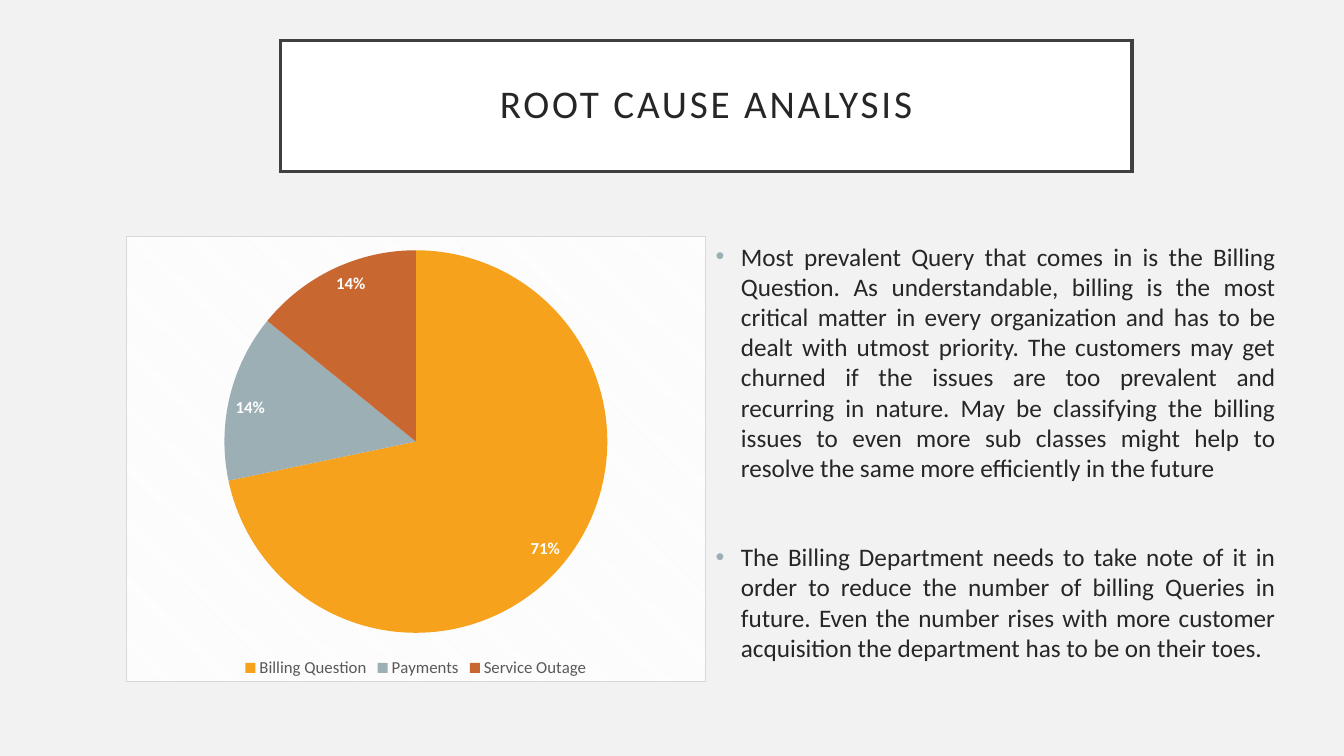
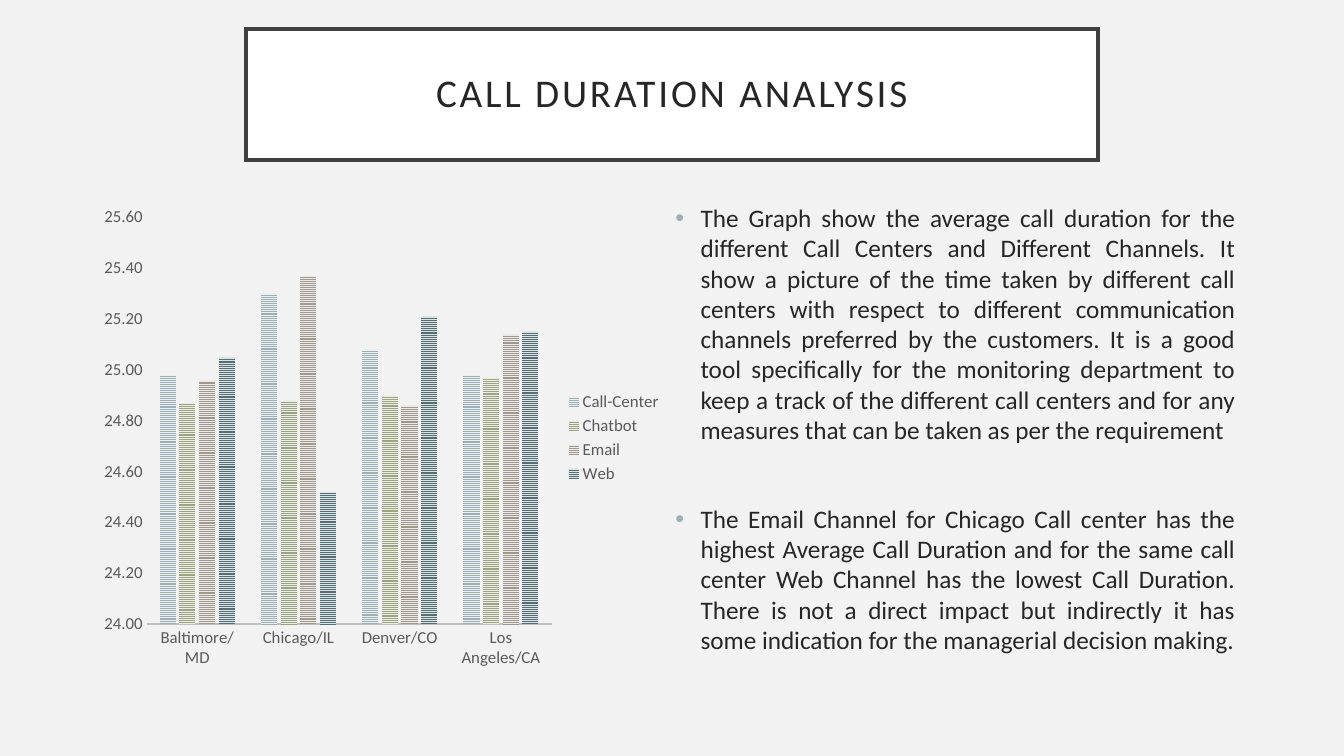
"""Build two slides that each pair a chart with a pair of findings."""
from dataclasses import dataclass
from typing import Callable

from lxml.etree import SubElement as Sub
from pptx import Presentation
from pptx.chart.data import CategoryChartData as Data
from pptx.dml.color import RGBColor as Rgb
from pptx.enum.chart import XL_CHART_TYPE as Kind
from pptx.enum.chart import XL_LABEL_POSITION as Spot
from pptx.enum.chart import XL_LEGEND_POSITION as Side
from pptx.enum.chart import XL_TICK_MARK as Tick
from pptx.enum.dml import MSO_PATTERN as Weave
from pptx.enum.shapes import MSO_SHAPE as Form
from pptx.enum.text import MSO_ANCHOR as Anchor
from pptx.enum.text import PP_ALIGN as Align
from pptx.oxml import parse_xml
from pptx.oxml.ns import qn
from pptx.util import Emu, Pt

SCALE = 9144
FONT = "Calibri"
INK = {
    "page": "F2F2F2", "white": "FFFFFF", "frame": "404040", "text": "262626",
    "label": "595959", "axis": "BFBFBF", "edge": "D9D9D9",
    "gold": "F6A21D", "mist": "9BAFB5", "rust": "C96731",
    "moss": "9CA383", "sand": "A0988C", "slate": "566D74",
    "pale mist": "EBEFF0", "pale moss": "EBEDE6",
    "pale sand": "ECEAE8", "pale slate": "DCE3E5",
}
PANEL = f"""<c:spPr xmlns:c="http://schemas.openxmlformats.org/drawingml/2006/chart"
 xmlns:a="http://schemas.openxmlformats.org/drawingml/2006/main">
<a:pattFill prst="dkDnDiag"><a:fgClr><a:srgbClr val="{INK['page']}"/></a:fgClr>
<a:bgClr><a:srgbClr val="{INK['white']}"/></a:bgClr></a:pattFill>
<a:ln w="9525"><a:solidFill><a:srgbClr val="{INK['edge']}"/></a:solidFill></a:ln>
</c:spPr>"""


@dataclass(frozen=True)
class Box:
    left: int
    top: int
    width: int
    height: int

    def emu(self) -> list[Emu]:
        return [px(n) for n in (self.left, self.top, self.width, self.height)]


@dataclass(frozen=True)
class Slice:
    name: str
    share: int
    ink: str


@dataclass(frozen=True)
class Bar:
    name: str
    means: tuple[float, ...]
    ink: str


@dataclass(frozen=True)
class Page:
    title: str
    head: Box
    plot: Box
    body: Box
    draw: Callable
    points: tuple[str, ...]


SLICES = (
    Slice("Billing Question", 71, "gold"),
    Slice("Payments", 14, "mist"),
    Slice("Service Outage", 14, "rust"),
)
SITES = ("Baltimore/MD", "Chicago/IL", "Denver/CO", "Los Angeles/CA")
BARS = (
    Bar("Call-Center", (24.98, 25.3, 25.08, 24.98), "mist"),
    Bar("Chatbot", (24.87, 24.88, 24.9, 24.97), "moss"),
    Bar("Email", (24.96, 25.37, 24.86, 25.14), "sand"),
    Bar("Web", (25.05, 24.52, 25.21, 25.15), "slate"),
)


def px(count: int) -> Emu:
    return Emu(count * SCALE)


def tint(name: str) -> Rgb:
    return Rgb.from_string(INK[name])


def style(font, size: int, ink: str, bold: bool = False) -> None:
    font.name, font.size, font.bold = FONT, Pt(size), bold
    font.color.rgb = tint(ink)


def add_head(slide, text: str, box: Box) -> None:
    shape = slide.shapes.add_shape(Form.RECTANGLE, *box.emu())
    shape.shadow.inherit = False
    shape.fill.solid()
    shape.fill.fore_color.rgb = tint("white")
    shape.line.color.rgb = tint("frame")
    shape.line.width = Pt(2.5)
    Sub(shape.line._get_or_add_ln(), qn("a:miter"), lim="800000")
    frame = shape.text_frame
    frame.word_wrap = True
    frame.vertical_anchor = Anchor.MIDDLE
    frame.margin_left = frame.margin_right = px(20)
    frame.margin_top = frame.margin_bottom = px(20)
    frame.text = text
    para = frame.paragraphs[0]
    para.alignment, para.line_spacing = Align.CENTER, 0.9
    run = para.runs[0]
    style(run.font, 28, "text")
    run.font._element.set("spc", "200")


def add_points(slide, points: tuple[str, ...], box: Box) -> None:
    frame = slide.shapes.add_textbox(*box.emu()).text_frame
    frame.word_wrap = True
    for spot, text in enumerate(points):
        para = frame.add_paragraph() if spot else frame.paragraphs[0]
        para.text = text
        para.alignment = Align.JUSTIFY
        para.space_before = Pt(42 if spot else 10)
        style(para.runs[0].font, 18, "text")
        props = para._p.get_or_add_pPr()
        props.set("marL", str(px(25)))
        props.set("indent", str(px(-25)))
        Sub(Sub(props, qn("a:buClr")), qn("a:srgbClr"), val=INK["mist"])
        Sub(props, qn("a:buFont"), typeface="Arial")
        Sub(props, qn("a:buChar"), char="•")


def add_plot(slide, kind: Kind, data: Data, box: Box, side: Side):
    chart = slide.shapes.add_chart(kind, *box.emu(), data).chart
    chart.has_title = False
    chart.font.name, chart.font.size = FONT, Pt(10)
    chart.has_legend = True
    chart.legend.position = side
    chart.legend.include_in_layout = False
    style(chart.legend.font, 12, "label")
    return chart


def draw_pie(slide, box: Box) -> None:
    data = Data()
    data.categories = [part.name for part in SLICES]
    data.add_series("Series 1", [part.share for part in SLICES])
    chart = add_plot(slide, Kind.PIE, data, box, Side.BOTTOM)
    chart._chartSpace.find(qn("c:chart")).addnext(parse_xml(PANEL))
    plot = chart.plots[0]
    plot.vary_by_categories = True
    for spot, part in enumerate(SLICES):
        fill = plot.series[0].points[spot].format.fill
        fill.solid()
        fill.fore_color.rgb = tint(part.ink)
    labels = plot.series[0].data_labels
    labels.show_value = True
    labels.number_format, labels.number_format_is_linked = '0"%"', False
    labels.position = Spot.INSIDE_END
    style(labels.font, 12, "white", True)


def draw_bars(slide, box: Box) -> None:
    data = Data(number_format="0.00")
    data.categories = SITES
    for bar in BARS:
        data.add_series(bar.name, bar.means)
    chart = add_plot(slide, Kind.COLUMN_CLUSTERED, data, box, Side.RIGHT)
    plot = chart.plots[0]
    plot.vary_by_categories = False
    plot.gap_width, plot.overlap = 164, -22
    for bar, series in zip(BARS, plot.series):
        fill = series.format.fill
        fill.patterned()
        fill.pattern = Weave.NARROW_HORIZONTAL
        fill.fore_color.rgb = tint(bar.ink)
        fill.back_color.rgb = tint("pale " + bar.ink)
    base, scale = chart.category_axis, chart.value_axis
    for axis in (base, scale):
        axis.has_major_gridlines = False
        axis.major_tick_mark = axis.minor_tick_mark = Tick.NONE
        style(axis.tick_labels.font, 12, "label")
    base.format.line.color.rgb = tint("axis")
    base.format.line.width = Pt(1.5)
    scale.format.line.fill.background()
    scale.minimum_scale, scale.maximum_scale, scale.major_unit = 24, 25.6, 0.2
    scale.tick_labels.number_format = "0.00"
    scale.tick_labels.number_format_is_linked = False


PAGES = (
    Page(
        "ROOT CAUSE ANALYSIS",
        Box(278, 40, 845, 130), Box(125, 234, 575, 443), Box(700, 234, 575, 443),
        draw_pie,
        (
            "Most prevalent Query that comes in is the Billing Question. As "
            "understandable, billing is the most critical matter in every "
            "organization and has to be dealt with utmost priority. The customers "
            "may get churned if the issues are too prevalent and recurring in "
            "nature. May be classifying the billing issues to even more sub classes "
            "might help to resolve the same more efficiently in the future",
            "The Billing Department needs to take note of it in order to reduce the "
            "number of billing Queries in future. Even the number rises with more "
            "customer acquisition the department has to be on their toes.",
        ),
    ),
    Page(
        "CALL DURATION ANALYSIS",
        Box(244, 29, 845, 130), Box(92, 196, 575, 476), Box(660, 196, 575, 476),
        draw_bars,
        (
            "The Graph show the average call duration for the different Call Centers "
            "and Different Channels. It show a picture of the time taken by "
            "different call centers with respect to different communication channels "
            "preferred by the customers. It is a good tool specifically for the "
            "monitoring department to keep a track of the different call centers and "
            "for any measures that can be taken as per the requirement",
            "The Email Channel for Chicago Call center has the highest Average Call "
            "Duration and for the same call center Web Channel has the lowest Call "
            "Duration. There is not a direct impact but indirectly it has some "
            "indication for the managerial decision making.",
        ),
    ),
)


def main() -> None:
    deck = Presentation()
    deck.slide_width, deck.slide_height = px(1333), px(750)
    back = deck.slide_master.background.fill
    back.solid()
    back.fore_color.rgb = tint("page")
    for page in PAGES:
        slide = deck.slides.add_slide(deck.slide_layouts[6])
        add_head(slide, page.title, page.head)
        add_points(slide, page.points, page.body)
        page.draw(slide, page.plot)
    deck.save("out.pptx")


if __name__ == "__main__":
    main()
